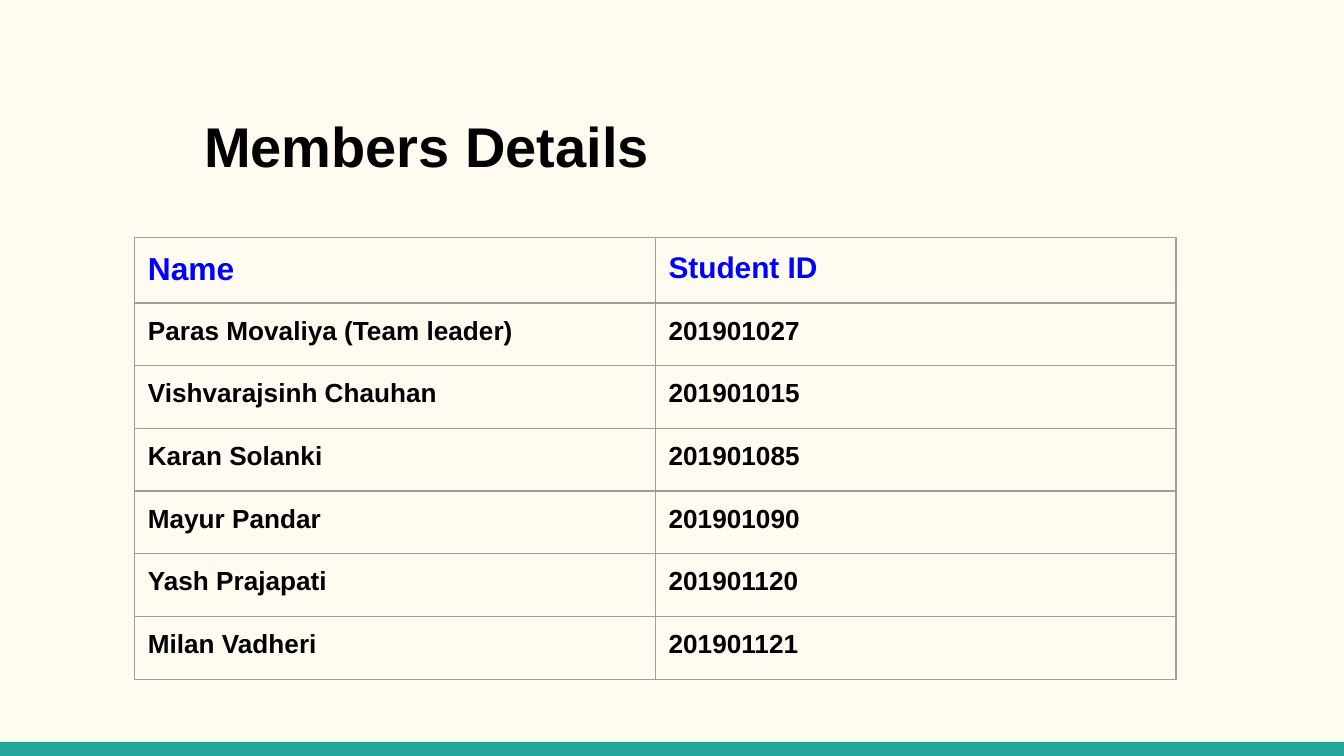
from typing import NamedTuple

from lxml import etree
from pptx import Presentation
from pptx.dml.color import RGBColor
from pptx.enum.shapes import MSO_SHAPE
from pptx.enum.text import MSO_ANCHOR
from pptx.oxml.ns import qn
from pptx.util import Inches, Pt

RECTANGLE = MSO_SHAPE.RECTANGLE
TOP = MSO_ANCHOR.TOP
FONT = "Arial"
BLACK, BLUE, TEAL, CREAM, GREY = "000000", "0000FF", "26A69A", "FFFBF0", "9E9E9E"
PADDING = Inches(0.1)
PAGE_WIDTH = 10
PAGE_HEIGHT = PAGE_WIDTH * 9 / 16
BAR_TOP = 5.52
TABLE_WIDTH, TABLE_HEIGHT, HEADER_HEIGHT = 7.75, 3.28, 0.48
BORDER_WIDTH = Pt(0.75)


class Member(NamedTuple):
    name: str
    student_id: str


HEADINGS = Member("Name", "Student ID")
HEADING_SIZES = (17, 16)
MEMBER_SIZES = (14, 14)
MEMBERS = [
    Member("Paras Movaliya (Team leader)", "201901027"),
    Member("Vishvarajsinh Chauhan", "201901015"),
    Member("Karan Solanki", "201901085"),
    Member("Mayur Pandar", "201901090"),
    Member("Yash Prajapati", "201901120"),
    Member("Milan Vadheri", "201901121"),
]


def color(value: str) -> RGBColor:
    return RGBColor.from_string(value)


def write(frame, text: str, size: float, ink: str) -> None:
    """Put one bold paragraph in a text frame."""
    para = frame.paragraphs[0]
    para.text = text
    para.font.name = FONT
    para.font.size = Pt(size)
    para.font.bold = True
    para.font.color.rgb = color(ink)


def set_margins(target) -> None:
    target.margin_left = target.margin_right = PADDING
    target.margin_top = target.margin_bottom = PADDING


def add_borders(cell) -> None:
    properties = cell._tc.get_or_add_tcPr()
    for index, side in enumerate(("lnL", "lnR", "lnT", "lnB")):
        line = etree.Element(qn(f"a:{side}"), w=str(BORDER_WIDTH))
        fill = etree.SubElement(line, qn("a:solidFill"))
        etree.SubElement(fill, qn("a:srgbClr"), val=GREY)
        properties.insert(index, line)


def add_title(page, text: str) -> None:
    box = page.shapes.add_textbox(Inches(1.42), Inches(0.73), Inches(7.69), Inches(1.09))
    frame = box.text_frame
    frame.word_wrap = True
    frame.vertical_anchor = TOP
    set_margins(frame)
    write(frame, text, 30, BLACK)


def add_member_table(page) -> None:
    rows = [HEADINGS, *MEMBERS]
    row_height = (TABLE_HEIGHT - HEADER_HEIGHT) / len(MEMBERS)
    table = page.shapes.add_table(
        len(rows), len(HEADINGS), Inches(1), Inches(1.77),
        Inches(TABLE_WIDTH), Inches(TABLE_HEIGHT),
    ).table
    table.first_row = table.horz_banding = False
    for column in table.columns:
        column.width = Inches(TABLE_WIDTH / len(HEADINGS))

    for row_index, member in enumerate(rows):
        is_header = row_index == 0
        table.rows[row_index].height = Inches(HEADER_HEIGHT if is_header else row_height)
        sizes = HEADING_SIZES if is_header else MEMBER_SIZES
        for column_index, (text, size) in enumerate(zip(member, sizes)):
            cell = table.cell(row_index, column_index)
            cell.fill.background()
            cell.vertical_anchor = TOP
            set_margins(cell)
            write(cell.text_frame, text, size, BLUE if is_header else BLACK)
            add_borders(cell)


def main() -> None:
    deck = Presentation()
    deck.slide_width, deck.slide_height = Inches(PAGE_WIDTH), Inches(PAGE_HEIGHT)
    page = deck.slides.add_slide(deck.slide_layouts[6])
    page.background.fill.solid()
    page.background.fill.fore_color.rgb = color(CREAM)

    # Bottom bar
    bar = page.shapes.add_shape(
        RECTANGLE, 0, Inches(BAR_TOP), Inches(PAGE_WIDTH), Inches(PAGE_HEIGHT - BAR_TOP)
    )
    bar.shadow.inherit = False
    bar.fill.solid()
    bar.fill.fore_color.rgb = color(TEAL)
    bar.line.fill.background()

    # Title and member list
    add_title(page, "Members Details")
    add_member_table(page)

    deck.save("out.pptx")


if __name__ == "__main__":
    main()
